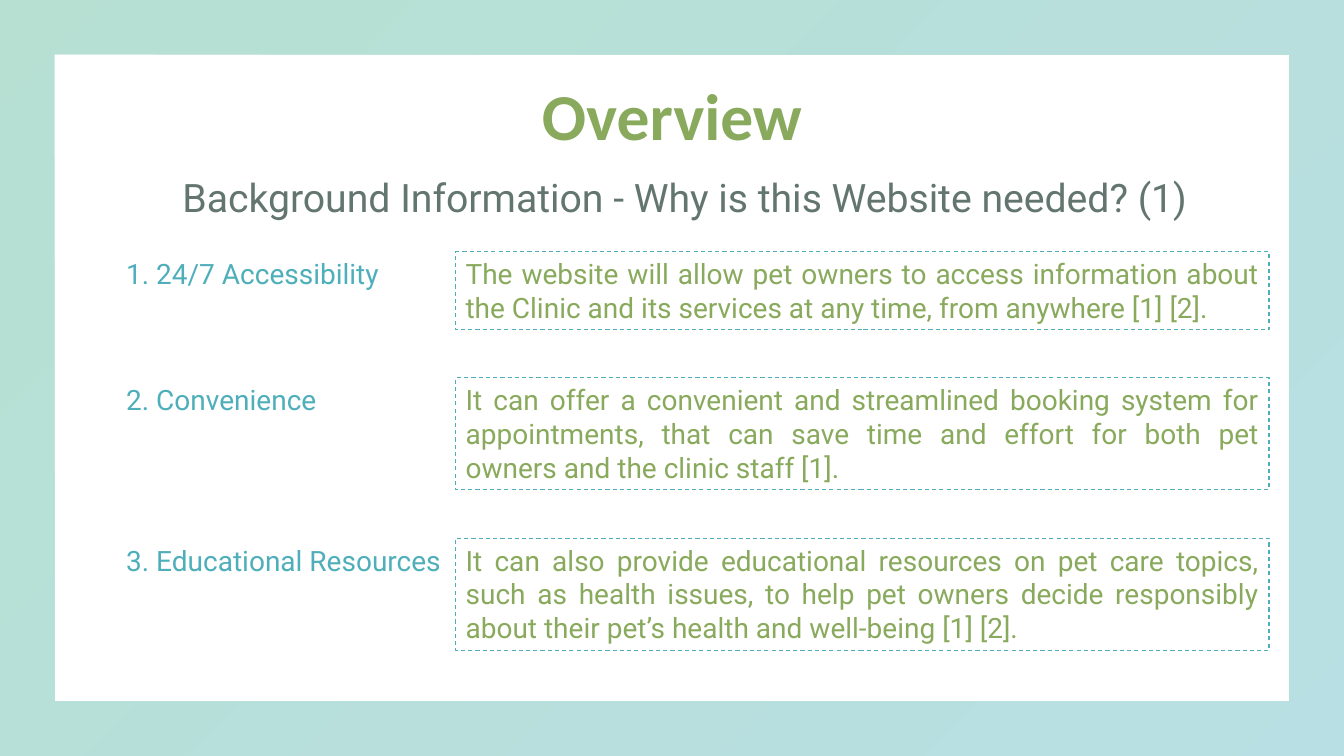
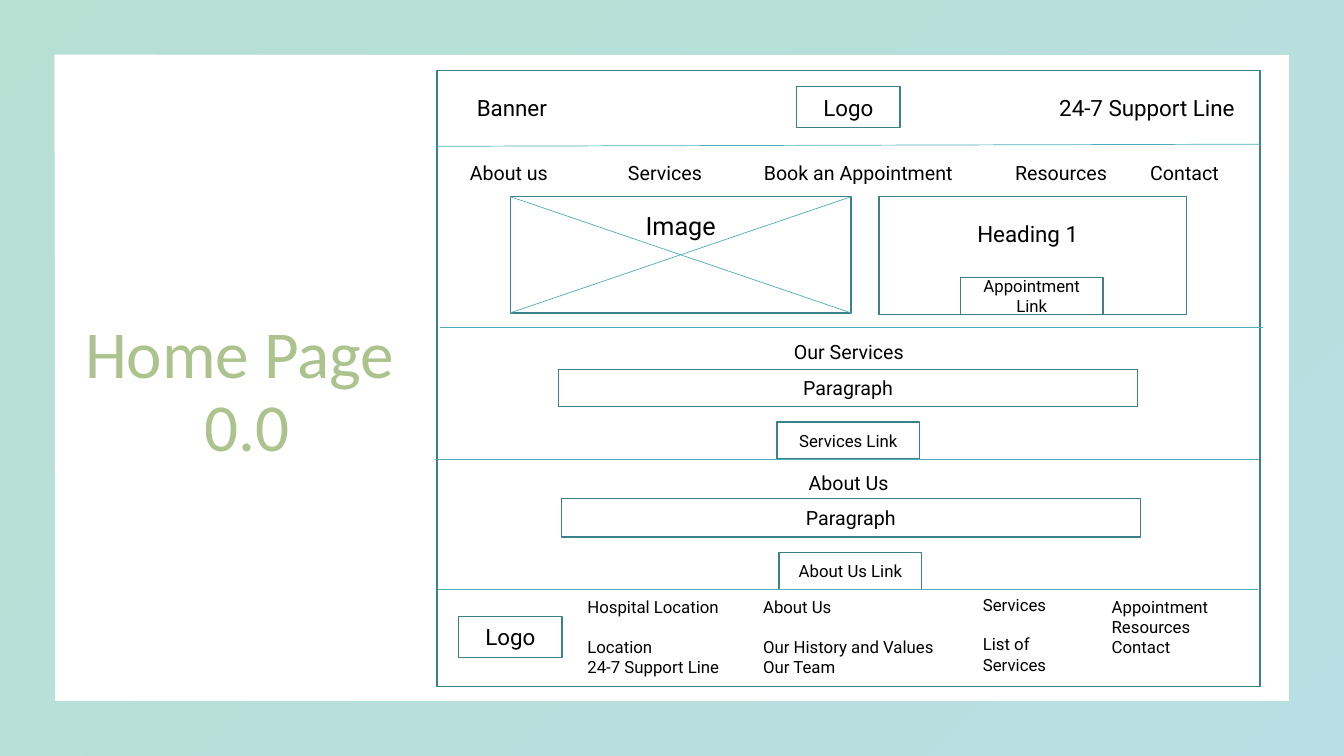
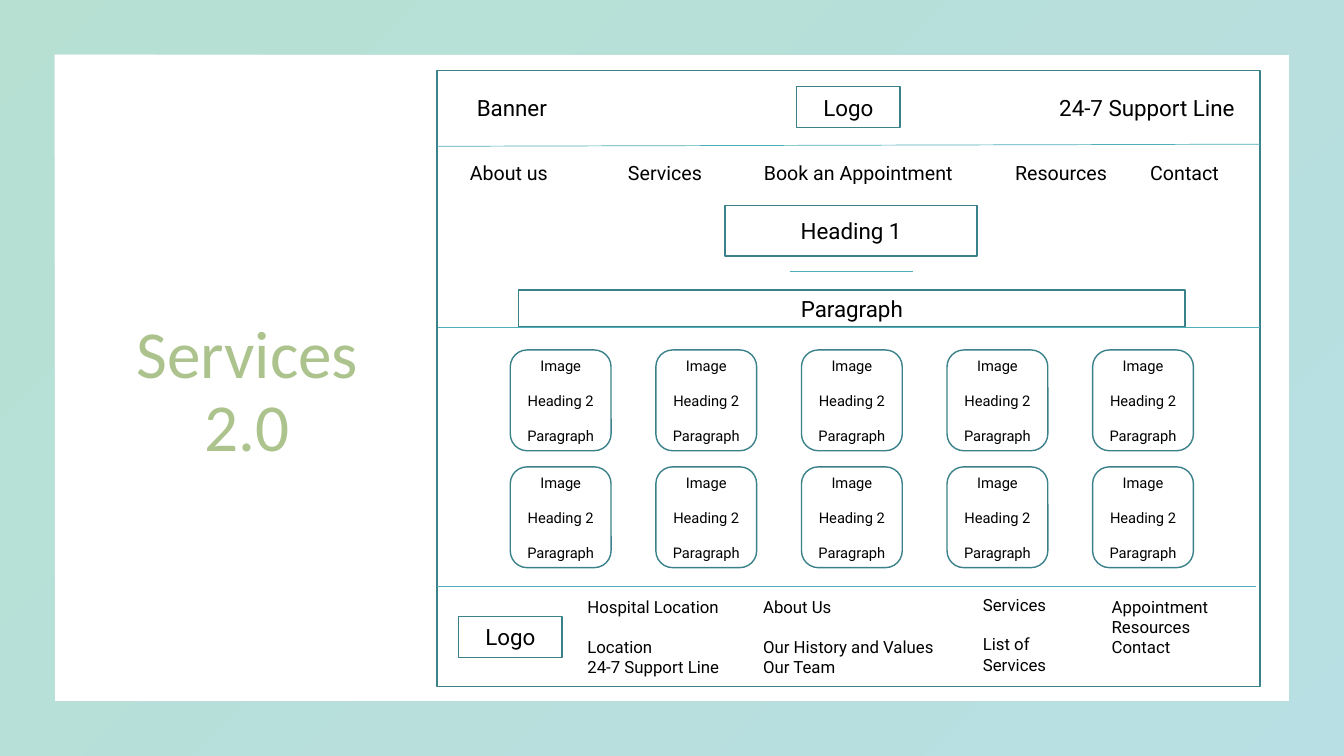
from lxml import etree
from pptx import Presentation
from pptx.dml.color import RGBColor
from pptx.enum.dml import MSO_LINE
from pptx.enum.shapes import MSO_CONNECTOR, MSO_SHAPE
from pptx.enum.text import MSO_ANCHOR, MSO_AUTO_SIZE, PP_ALIGN
from pptx.oxml.ns import qn
from pptx.util import Pt

RECT, ROUND, FRAME = MSO_SHAPE.RECTANGLE, MSO_SHAPE.ROUNDED_RECTANGLE, MSO_SHAPE.FRAME
TOP, MIDDLE, BOTTOM = MSO_ANCHOR.TOP, MSO_ANCHOR.MIDDLE, MSO_ANCHOR.BOTTOM
LEFT, CENTER, JUSTIFY = PP_ALIGN.LEFT, PP_ALIGN.CENTER, PP_ALIGN.JUSTIFY
STRAIGHT, DASH, NO_AUTOFIT = MSO_CONNECTOR.STRAIGHT, MSO_LINE.DASH, MSO_AUTO_SIZE.NONE

COLORS = {
    "mint": "4DB392", "aqua": "4EAFBA", "green": "89AA5D", "forest": "213B33",
    "teal": "3A818A", "white": "FFFFFF", "black": "000000",
}
TITLE_FONT, TEXT_FONT = "Calibri", "Roboto"
WIDTH, HEIGHT = 960, 540

OVERVIEW_TITLE = "Overview"
OVERVIEW_SUBTITLE = "Background Information - Why is this Website needed? (1)"
REASONS = [
    ("1. 24/7 Accessibility", 55.5,
     "The website will allow pet owners to access information about the Clinic "
     "and its services at any time, from anywhere [1] [2]."),
    ("2. Convenience", 80,
     "It can offer a convenient and streamlined booking system for appointments, "
     "that can save time and effort for both pet owners and the clinic staff [1]."),
    ("3. Educational Resources", 80,
     "It can also provide educational resources on pet care topics, such as health "
     "issues, to help pet owners decide responsibly about their pet’s health and "
     "well-being [1] [2]."),
]
REASON_TOP, REASON_GAP = 180, 34.5

SITE_OUTLINE = (312, 50.5, 588, 440)
SITE_LOGOS = [(569, 62, 74, 29), (327.5, 440.5, 74, 29)]
BANNER_LINE = (312, 104.5, 900, 103)
BANNER_LABELS = [("Banner", 333.5, 74), ("24-7 Support Line", 749.5, 146)]
NAVIGATION = [
    ("About us", 328.5, 73), ("Services", 441.5, 75), ("Book an Appointment", 538.5, 156.5),
    ("Resources", 718, 80), ("Contact", 814.5, 65),
]
FOOTER = [
    (["Hospital Location", "Location", "24-7 Support Line"], 14, 412.5, 422.5, 114),
    (["About Us", "Our History and Values", "Our Team"], 14, 538, 422.5, 141),
    (["Services", "List of Services"], 14, 695, 421, 77),
    (["Appointment", "Resources", "Contact"], 0, 787, 422.5, 88.5),
]

HOME_BOXES = [
    ("", 0, (628, 140.5, 219.5, 84)),
    ("Appointment Link", 12, (686, 198, 102, 26.5)),
    ("Paragraph", 14, (399, 264, 413.5, 26.5)),
    ("Services Link", 12, (555, 301.5, 102, 26.5)),
    ("Paragraph", 14, (401, 356, 413.5, 27.5)),
    ("About Us Link", 12, (556.5, 394.5, 102, 26.5)),
]
HOME_IMAGE = (364.5, 140.5, 243.5, 83)
HOME_LABELS = [
    ("Heading 1", 16, (691, 153.5, 92, 26.5)),
    ("Our Services", 14, (560, 239, 96, 24.5)),
    ("About Us", 14, (570.5, 332.5, 75, 24.5)),
]
HOME_LINES = [
    (313, 421, 898.5, 421), (314, 234, 902, 234), (311, 328, 899, 328),
    (364.5, 140.5, 608, 223.5), (364.5, 223.5, 608, 140.5),
]

SERVICE_BOXES = [
    ("Heading 1", 16, (518, 147, 180, 36)),
    ("Paragraph", 16, (370.5, 207, 476, 26.5)),
]
SERVICE_LINES = [(312, 418.5, 897, 418.5), (564, 194, 652, 194), (313, 234, 900, 234)]
CARD_LINES = ["Image", "Heading 2", "Paragraph"]
CARD_LEFT, CARD_PITCH, CARD_COLUMNS, CARD_SIZE = 364.5, 104, 5, 72
CARD_TOPS = [250, 333.5]


def rgb(name):
    return RGBColor.from_string(COLORS[name])


def set_alpha(element, percents):
    for color, percent in zip(element.iter(qn("a:srgbClr")), percents):
        if percent < 100:
            etree.SubElement(color, qn("a:alpha")).set("val", str(percent * 1000))


def fill_gradient(fill, names, angle):
    fill.gradient()
    fill.gradient_angle = angle
    for stop, name, position in zip(fill.gradient_stops, names, (0, 1)):
        stop.color.rgb = rgb(name)
        stop.position = position


def place(shape, area):
    shape.left, shape.top, shape.width, shape.height = map(Pt, area)


def write(shape, lines, size, color="black", align=LEFT, anchor=TOP, gaps=()):
    frame = shape.text_frame
    frame.word_wrap = True
    frame.vertical_anchor = anchor
    for index, line in enumerate(lines):
        para = frame.paragraphs[0] if index == 0 else frame.add_paragraph()
        para.alignment = align
        if index and index <= len(gaps):
            para.space_before = Pt(gaps[index - 1])
        span = para.add_run()
        span.text = line
        span.font.size = Pt(size)
        span.font.name = TEXT_FONT
        span.font.color.rgb = rgb(color)


def add_label(page, lines, size, area, color="black", gaps=()):
    label = page.shapes.add_textbox(*map(Pt, area))
    write(label, lines, size, color, gaps=gaps)


def add_box(page, lines, size, area, kind=RECT, gaps=(), anchor=MIDDLE, inset=0):
    box = page.shapes.add_shape(kind, *map(Pt, area))
    box.shadow.inherit = False
    box.fill.solid()
    box.fill.fore_color.rgb = rgb("white")
    box.line.color.rgb = rgb("teal")
    box.line.width = Pt(1)
    box.text_frame.margin_top = Pt(inset)
    box.text_frame.margin_bottom = 0
    if lines:
        write(box, lines, size, align=CENTER, anchor=anchor, gaps=gaps)


def add_line(page, ends):
    line = page.shapes.add_connector(STRAIGHT, *map(Pt, ends))
    line.line.color.rgb = rgb("aqua")
    line.line.width = Pt(0.5)
    etree.SubElement(line.element.find(qn("p:spPr")), qn("a:effectLst"))


def set_title(page, lines, size, area, anchor, bold, alphas):
    title = page.shapes.title
    place(title, area)
    frame = title.text_frame
    frame.word_wrap = True
    frame.auto_size = NO_AUTOFIT
    frame.vertical_anchor = anchor
    para = frame.paragraphs[0]
    para.alignment = CENTER
    para.line_spacing = 0.9
    for index, line in enumerate(lines):
        if index:
            para.add_line_break()
        span = para.add_run()
        span.text = line
        span.font.size = Pt(size)
        span.font.name = TITLE_FONT
        span.font.bold = bold
        fill_gradient(span.font.fill, ("green", "aqua"), 0)
    set_alpha(title.element, alphas * len(lines))


def add_master_frame(deck, page):
    border = page.shapes.add_shape(FRAME, 0, 0, Pt(WIDTH), Pt(HEIGHT))
    border.adjustments[0] = 0.072
    border.shadow.inherit = False
    border.line.fill.background()
    fill_gradient(border.fill, ("mint", "aqua"), 315)
    set_alpha(border.element, (40, 40))
    deck.slide_master.shapes.element.insert(2, border.element)


def build_overview(page):
    set_title(page, [OVERVIEW_TITLE], 46.8, (66, 58.5, 828, 53), MIDDLE, True, (100, 70))
    subtitle = page.placeholders[1]
    place(subtitle, (66, 116.5, 828, 47.5))
    subtitle.text_frame.auto_size = NO_AUTOFIT
    write(subtitle, [OVERVIEW_SUBTITLE], 28, "forest", CENTER)
    para = subtitle.text_frame.paragraphs[0]
    para.line_spacing = 1.1
    para.space_before = Pt(10)
    set_alpha(subtitle.element, (70,))
    for properties in subtitle.element.iter(qn("a:pPr")):
        properties.set("marL", str(Pt(18)))
        properties.set("indent", "0")
        etree.SubElement(properties, qn("a:buNone"))

    top = REASON_TOP
    for name, height, detail in REASONS:
        add_label(page, [name], 20, (83, top, 243, 32), "aqua")
        box = page.shapes.add_shape(RECT, *map(Pt, (325.5, top, 581, height)))
        box.shadow.inherit = False
        box.fill.background()
        box.line.color.rgb = rgb("aqua")
        box.line.width = Pt(0.75)
        box.line.dash_style = DASH
        write(box, [detail], 20, "green", JUSTIFY)
        top += height + REASON_GAP


def build_site(page, title_lines):
    set_title(page, title_lines, 48, (49, 204, 255.5, 132.5), BOTTOM, False, (70, 70))
    add_box(page, [], 0, SITE_OUTLINE)
    add_line(page, BANNER_LINE)
    for area in SITE_LOGOS:
        add_box(page, ["Logo"], 16, area)
    for text, left, width in BANNER_LABELS:
        add_label(page, [text], 16, (left, 63.5, width, 26.5))
    for text, left, width in NAVIGATION:
        add_label(page, [text], 14, (left, 111.5, width, 24.5))
    for lines, gap, left, top, width in FOOTER:
        add_label(page, lines, 12, (left, top, width, 65.5), gaps=(gap,))


def add_parts(page, boxes, labels, lines):
    for text, size, area in boxes:
        add_box(page, [text] if text else [], size, area)
    for text, size, area in labels:
        add_label(page, [text], size, area)
    for ends in lines:
        add_line(page, ends)


def build_home(page):
    build_site(page, ["Home Page ", "0.0"])
    add_box(page, ["Image"], 18, HOME_IMAGE, anchor=TOP, inset=10)
    add_parts(page, HOME_BOXES, HOME_LABELS, HOME_LINES)


def build_services(page):
    build_site(page, ["Services", "2.0"])
    add_parts(page, SERVICE_BOXES, [], SERVICE_LINES)
    for top in CARD_TOPS:
        for column in range(CARD_COLUMNS):
            left = CARD_LEFT + column * CARD_PITCH
            add_box(page, CARD_LINES, 10.5, (left, top, CARD_SIZE, CARD_SIZE), ROUND, (12.5, 12.5))


def main():
    deck = Presentation()
    deck.slide_width, deck.slide_height = Pt(WIDTH), Pt(HEIGHT)
    content_layout, title_layout = deck.slide_layouts[1], deck.slide_layouts[5]
    overview = deck.slides.add_slide(content_layout)
    add_master_frame(deck, overview)
    build_overview(overview)
    build_home(deck.slides.add_slide(title_layout))
    build_services(deck.slides.add_slide(title_layout))
    deck.save("out.pptx")


if __name__ == "__main__":
    main()
